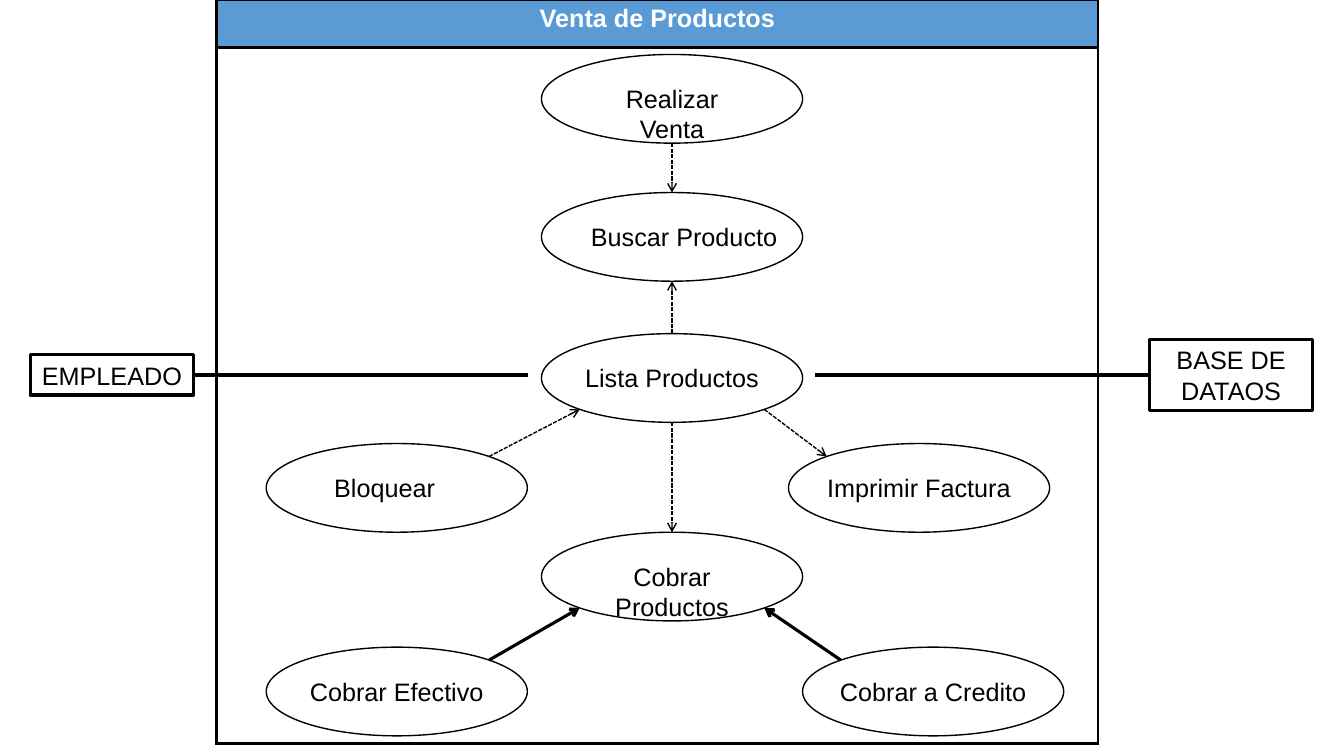
import math

import pptx
import pptx.dml.color
import pptx.enum.dml
import pptx.enum.shapes
import pptx.enum.text
import pptx.oxml
import pptx.oxml.ns
import pptx.util
from pptx.util import Inches

BLACK = pptx.dml.color.RGBColor(0x00, 0x00, 0x00)
WHITE = pptx.dml.color.RGBColor(0xFF, 0xFF, 0xFF)
BLUE = pptx.dml.color.RGBColor(0x5B, 0x9B, 0xD5)

THIN, THICK = pptx.util.Pt(1), pptx.util.Pt(2.25)
SHAPES = pptx.enum.shapes.MSO_SHAPE
DASH = pptx.enum.dml.MSO_LINE.SQUARE_DOT

OVAL_WIDTH, OVAL_HEIGHT = 2.59, 0.88
LABEL_DROP, LABEL_HEIGHT = 0.24, 0.4
ASSOCIATION_Y = 3.72

# Use case: oval left, oval top, label left, label width
USE_CASES = {
    "Realizar Venta": (5.37, 0.54, 5.81, 1.71),
    "Buscar Producto": (5.37, 1.91, 5.75, 2.07),
    "Lista Productos": (5.37, 3.31, 5.63, 2.07),
    "Bloquear": (2.64, 4.4, 2.78, 2.07),
    "Imprimir Factura": (7.82, 4.4, 8.08, 2.07),
    "Cobrar Productos": (5.37, 5.28, 5.63, 2.07),
    "Cobrar Efectivo": (2.64, 6.42, 2.9, 2.07),
    "Cobrar a Credito": (7.96, 6.42, 8.22, 2.07),
}

# Directions as degrees clockwise from the right
BOTTOM_RIGHT, BOTTOM, BOTTOM_LEFT, TOP_LEFT, TOP, TOP_RIGHT = 45, 90, 135, 225, 270, 315

# Arrow: start use case, its side, end use case, its side, width, dash
ARROWS = [
    ("Realizar Venta", BOTTOM, "Buscar Producto", TOP, THIN, DASH),
    ("Lista Productos", TOP, "Buscar Producto", BOTTOM, THIN, DASH),
    ("Bloquear", TOP_RIGHT, "Lista Productos", BOTTOM_LEFT, THIN, DASH),
    ("Lista Productos", BOTTOM_RIGHT, "Imprimir Factura", TOP_LEFT, THIN, DASH),
    ("Lista Productos", BOTTOM, "Cobrar Productos", TOP, THIN, DASH),
    ("Cobrar Efectivo", TOP_RIGHT, "Cobrar Productos", BOTTOM_LEFT, THICK, None),
    ("Cobrar a Credito", TOP_LEFT, "Cobrar Productos", BOTTOM_RIGHT, THICK, None),
]


def oval_point(name, degrees):
    left, top = USE_CASES[name][:2]
    angle = math.radians(degrees)
    return (left + OVAL_WIDTH / 2 * (1 + math.cos(angle)),
            top + OVAL_HEIGHT / 2 * (1 + math.sin(angle)))


class Diagram:
    text_format = {"name": "Arial", "size": pptx.util.Pt(18), "bold": False}

    def __init__(self, slide):
        self.slide = slide

    def fill_text(self, frame, text, color=BLACK, **changes):
        paragraph = frame.paragraphs[0]
        paragraph.text = text
        paragraph.alignment = pptx.enum.text.PP_ALIGN.CENTER
        font = paragraph.runs[0].font
        for attribute, value in {**self.text_format, **changes}.items():
            setattr(font, attribute, value)
        font.color.rgb = color

    def outline(self, kind, left, top, width, height, weight):
        shape = self.slide.shapes.add_shape(
            kind, Inches(left), Inches(top), Inches(width), Inches(height))
        shape.shadow.inherit = False
        shape.fill.background()
        shape.line.color.rgb = BLACK
        shape.line.width = weight
        return shape

    def box(self, text, left, top, width, height):
        shape = self.outline(SHAPES.RECTANGLE, left, top, width, height, THICK)
        shape.text_frame.word_wrap = True
        self.fill_text(shape.text_frame, text)

    def label(self, text, left, top, width, height):
        frame = self.slide.shapes.add_textbox(
            Inches(left), Inches(top), Inches(width), Inches(height)).text_frame
        frame.word_wrap = True
        self.fill_text(frame, text)

    def line(self, start, end, weight, dash=None, arrow=False):
        connector = self.slide.shapes.add_connector(
            pptx.enum.shapes.MSO_CONNECTOR.STRAIGHT, *map(Inches, (*start, *end)))
        for attribute, value in {"width": weight, "dash_style": dash}.items():
            setattr(connector.line, attribute, value)
        connector.line.color.rgb = BLACK
        if arrow:
            head = pptx.oxml.parse_xml(
                f'<a:tailEnd {pptx.oxml.ns.nsdecls("a")} type="arrow"/>')
            connector.line._get_or_add_ln().append(head)
        connector._element.spPr.append(
            pptx.oxml.parse_xml(f'<a:effectLst {pptx.oxml.ns.nsdecls("a")}/>'))

    def border(self, cell):
        properties = cell._tc.get_or_add_tcPr()
        for index, side in enumerate(("lnL", "lnR", "lnT", "lnB")):
            properties.insert(index, pptx.oxml.parse_xml(
                f'<a:{side} {pptx.oxml.ns.nsdecls("a")} w="{int(THICK)}">'
                f'<a:solidFill><a:srgbClr val="{BLACK}"/></a:solidFill></a:{side}>'))

    def system_frame(self, title, left, top, width, row_heights):
        table = self.slide.shapes.add_table(
            len(row_heights), 1, Inches(left), Inches(top),
            Inches(width), Inches(sum(row_heights))).table
        table.horz_banding = False
        for row, height in zip(table.rows, row_heights):
            row.height = Inches(height)
        header, body = table.cell(0, 0), table.cell(1, 0)
        header.fill.solid()
        header.fill.fore_color.rgb = BLUE
        body.fill.background()
        self.fill_text(header.text_frame, title, WHITE, bold=True)
        for cell in (header, body):
            self.border(cell)


def main():
    presentation = pptx.Presentation()
    presentation.slide_width = Inches(13.33)
    presentation.slide_height = Inches(7.5)
    diagram = Diagram(presentation.slides.add_slide(presentation.slide_layouts[6]))

    # Use cases
    for left, top, *_ in USE_CASES.values():
        diagram.outline(SHAPES.OVAL, left, top, OVAL_WIDTH, OVAL_HEIGHT, THIN)

    # Relations between use cases
    for start, start_side, end, end_side, weight, dash in ARROWS:
        diagram.line(oval_point(start, start_side), oval_point(end, end_side),
                     weight, dash, arrow=True)

    # Use case names
    for name, (_, top, left, width) in USE_CASES.items():
        diagram.label(name, left, top + LABEL_DROP, width, LABEL_HEIGHT)

    # System boundary
    diagram.system_frame("Venta de Productos", 2.15, 0, 8.74, (0.47, 6.91))

    # Actors and their associations
    for start, end in ((5.24, 1.92), (11.4, 8.08)):
        diagram.line((start, ASSOCIATION_Y), (end, ASSOCIATION_Y), THICK)
    for actor, left, height in (("EMPLEADO", 0.3, 0.4), ("BASE DE DATAOS", 11.4, 0.71)):
        diagram.box(actor, left, ASSOCIATION_Y - height / 2, 1.62, height)

    presentation.save("out.pptx")


if __name__ == "__main__":
    main()
